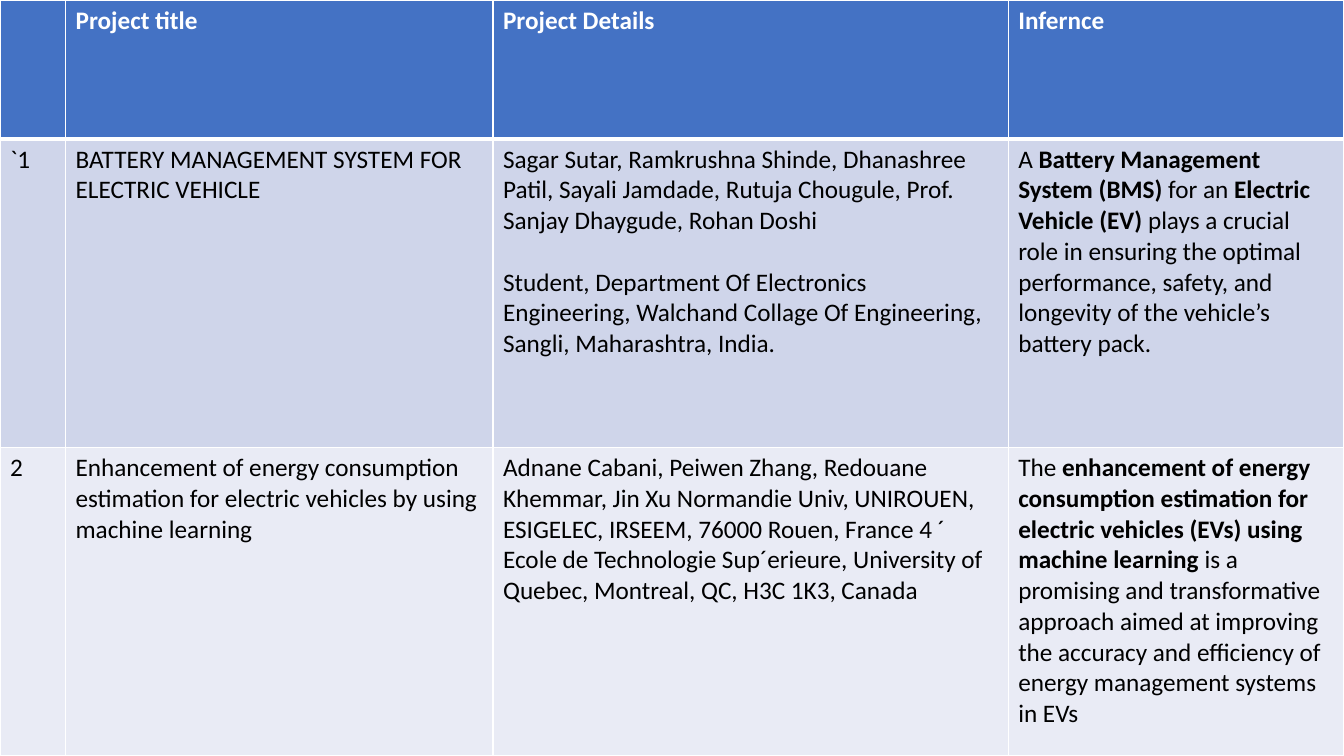
from copy import deepcopy

from lxml import etree
from pptx import Presentation
from pptx.dml.color import RGBColor
from pptx.oxml.ns import qn
from pptx.util import Inches, Pt

SLIDE_W, SLIDE_H = 13.33, 7.5
COLUMNS = [0.65, 4.24, 5.11, 3.33]
ROWS = [1.38, 3.06, 3.06]
ROW_FILLS = ["4472C4", "CFD5EA", "E9EBF5"]
BACKDROP = [(0, "C1D5DE"), (0.12, "C8DAE2"), (1, "FFFFFF")]

# Each cell is a list of paragraphs, each paragraph a list of (text, bold) runs.
HEADINGS = [[[(heading, True)]] if heading else []
            for heading in ("", "Project title", "Project Details", "Infernce")]
BATTERY_PAPER = [
    [[("`1", False)]],
    [[("BATTERY MANAGEMENT SYSTEM FOR ELECTRIC VEHICLE", False)]],
    [[("Sagar Sutar, Ramkrushna Shinde, Dhanashree Patil, Sayali Jamdade, "
       "Rutuja Chougule, Prof. Sanjay Dhaygude, Rohan Doshi", False)],
     [("Student, Department Of Electronics Engineering, Walchand Collage Of "
       "Engineering, Sangli, Maharashtra, India.", False)]],
    [[("A ", False), ("Battery Management System (BMS)", True),
      (" for an ", False), ("Electric Vehicle (EV)", True),
      (" plays a crucial role in ensuring the optimal performance, safety, "
       "and longevity of the vehicle’s battery pack.", False)]],
]
ENERGY_PAPER = [
    [[("2", False)]],
    [[("Enhancement of energy consumption estimation for electric vehicles "
       "by using machine learning", False)]],
    [[("Adnane Cabani, Peiwen Zhang, Redouane Khemmar, Jin Xu Normandie Univ, "
       "UNIROUEN, ESIGELEC, IRSEEM, 76000 Rouen, France 4 ´ Ecole de "
       "Technologie Sup´erieure, University of Quebec, Montreal, QC, "
       "H3C 1K3, Canada", False)]],
    [[("The ", False),
      ("enhancement of energy consumption estimation for electric vehicles "
       "(EVs) using machine learning", True),
      (" is a promising and transformative approach aimed at improving the "
       "accuracy and efficiency of energy management systems in EVs", False)]],
]


def rgb(hex_colour):
    return RGBColor.from_string(hex_colour)


class SlideBuilder:
    font_name = "Calibri"
    font_size = Pt(18)
    paragraph_gap = Pt(22)
    border_colour = "FFFFFF"

    def __init__(self, slide):
        self.slide = slide

    def gradient_background(self, stops):
        fill = self.slide.background.fill
        fill.gradient()
        fill.gradient_angle = 0
        stop_list = self.slide.element.find(".//" + qn("a:gsLst"))
        while len(stop_list) < len(stops):
            stop_list.append(deepcopy(stop_list[-1]))
        for stop, (position, colour) in zip(fill.gradient_stops, stops):
            stop.position = position
            stop.color.rgb = rgb(colour)

    def borders(self, cell, top, bottom):
        """Draw all four sides, with top and bottom widths in points."""
        properties = cell._tc.get_or_add_tcPr()
        for side, width in (("L", 1), ("R", 1), ("T", top), ("B", bottom)):
            line = etree.SubElement(properties, qn("a:ln" + side), w=str(Pt(width)))
            solid = etree.SubElement(line, qn("a:solidFill"))
            etree.SubElement(solid, qn("a:srgbClr"), val=self.border_colour)

    def cell_text(self, cell, paragraphs, colour):
        frame = cell.text_frame
        for index, runs in enumerate(paragraphs):
            paragraph = frame.add_paragraph() if index else frame.paragraphs[0]
            if index:
                paragraph.space_before = self.paragraph_gap
            for text, bold in runs:
                run = paragraph.add_run()
                run.text = text
                run.font.name = self.font_name
                run.font.size = self.font_size
                run.font.bold = bold
                run.font.color.rgb = rgb(colour)

    def table(self, content, columns, rows, fills):
        """Fill the slide with a table whose first row is the header."""
        table = self.slide.shapes.add_table(
            len(rows), len(columns), 0, 0,
            Inches(SLIDE_W), Inches(SLIDE_H)).table
        for column, width in zip(table.columns, columns):
            column.width = Inches(width)
        for row_index, (row, height) in enumerate(zip(table.rows, rows)):
            row.height = Inches(height)
            text_colour = "000000" if row_index else "FFFFFF"
            for cell, paragraphs in zip(row.cells, content[row_index]):
                self.borders(cell, top=3 if row_index == 1 else 1,
                             bottom=1 if row_index else 3)
                cell.fill.solid()
                cell.fill.fore_color.rgb = rgb(fills[row_index])
                self.cell_text(cell, paragraphs, text_colour)


def main():
    presentation = Presentation()
    presentation.slide_width = Inches(SLIDE_W)
    presentation.slide_height = Inches(SLIDE_H)
    blank_layout = presentation.slide_layouts[6]
    builder = SlideBuilder(presentation.slides.add_slide(blank_layout))
    builder.gradient_background(BACKDROP)
    builder.table([HEADINGS, BATTERY_PAPER, ENERGY_PAPER], COLUMNS, ROWS, ROW_FILLS)
    presentation.save("out.pptx")


if __name__ == "__main__":
    main()
